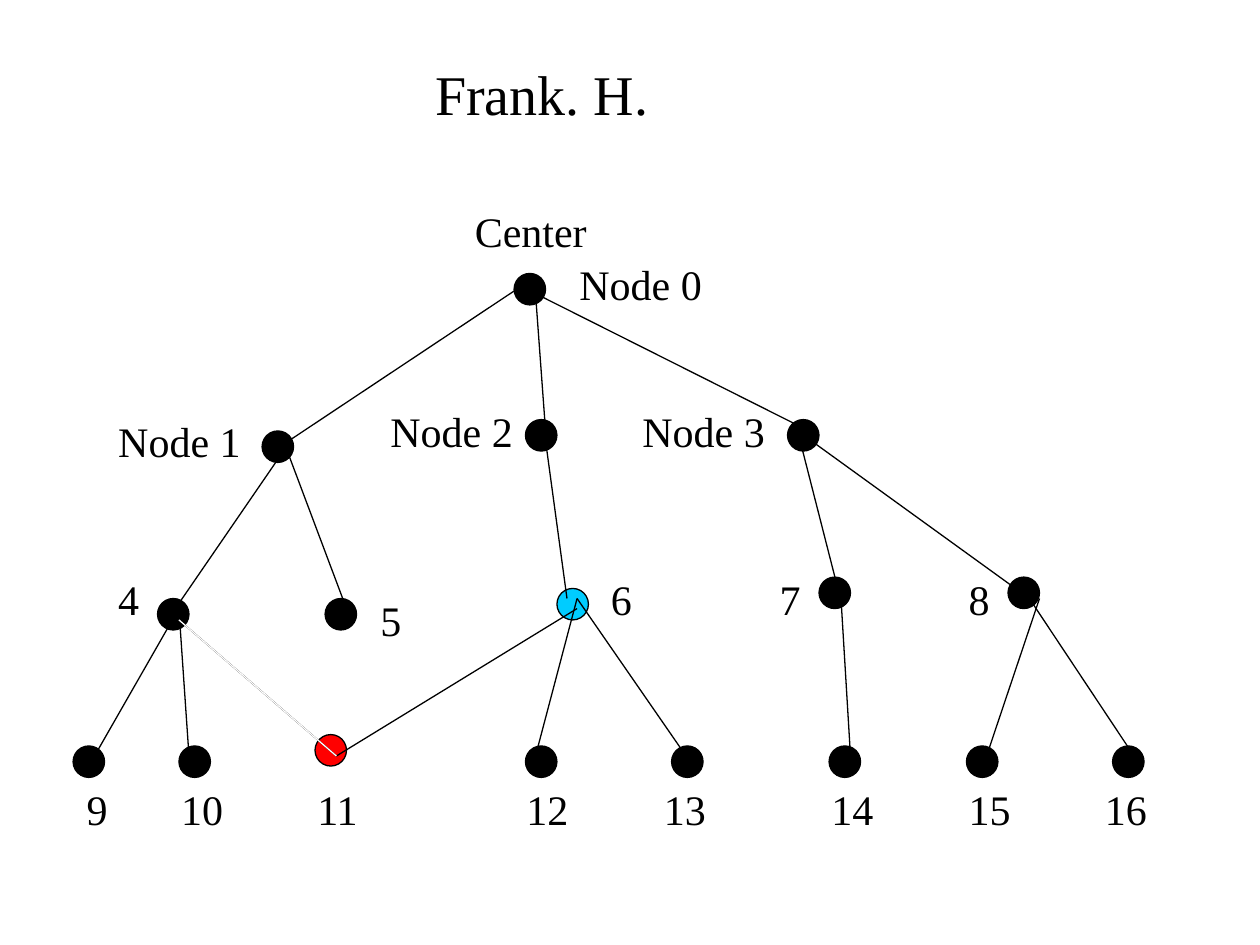
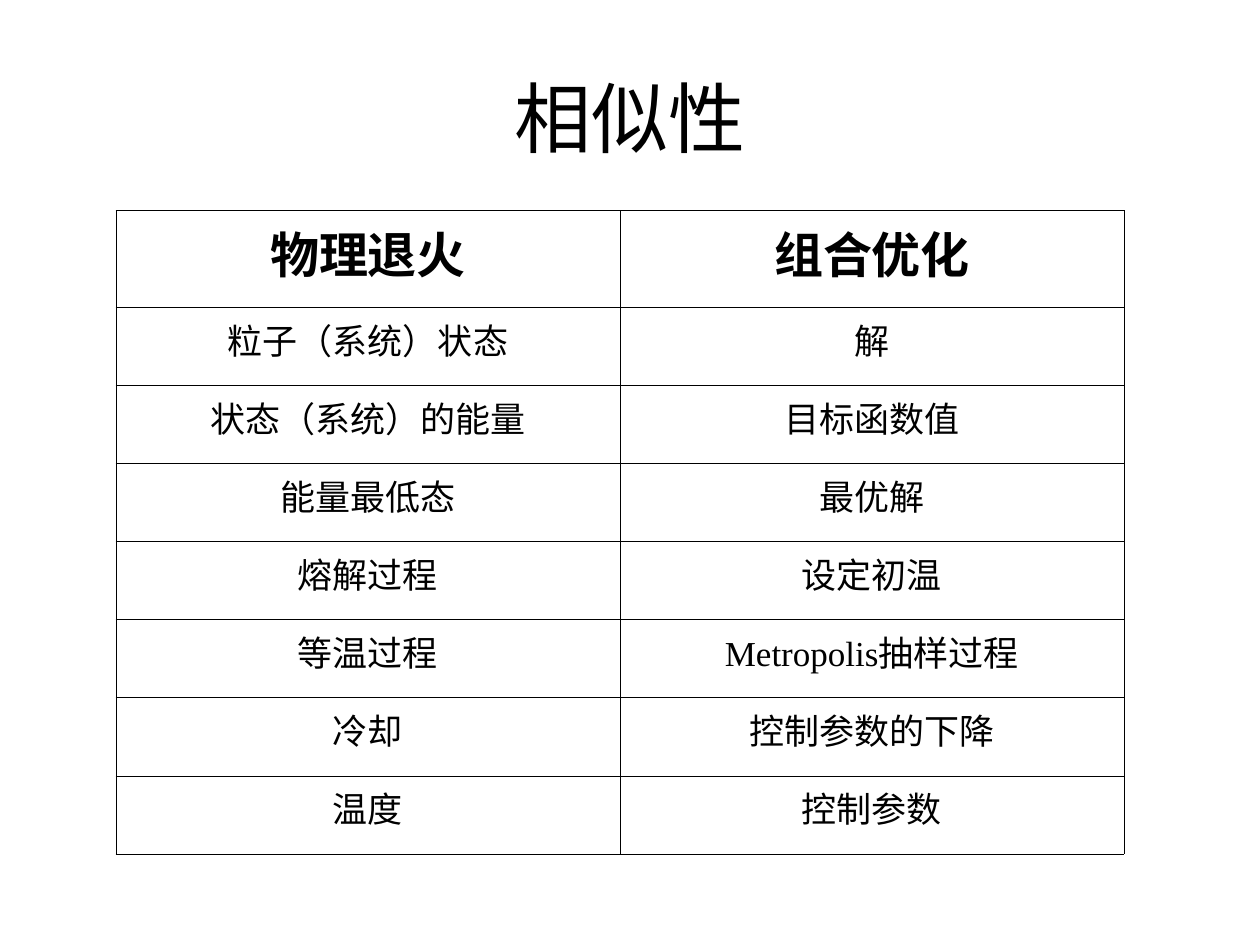
from lxml import etree
from pptx import Presentation
from pptx.dml.color import RGBColor
from pptx.enum.lang import MSO_LANGUAGE_ID
from pptx.enum.shapes import MSO_CONNECTOR, MSO_SHAPE
from pptx.enum.text import MSO_ANCHOR, MSO_AUTO_SIZE, PP_ALIGN
from pptx.oxml.ns import qn
from pptx.util import Inches, Pt

CENTER, LEFT = PP_ALIGN.CENTER, PP_ALIGN.LEFT
TOP, MIDDLE = MSO_ANCHOR.TOP, MSO_ANCHOR.MIDDLE
ELLIPSE = MSO_SHAPE.OVAL
STRAIGHT = MSO_CONNECTOR.STRAIGHT
FIXED, GROW = MSO_AUTO_SIZE.NONE, MSO_AUTO_SIZE.SHAPE_TO_FIT_TEXT
CHINESE = MSO_LANGUAGE_ID.SIMPLIFIED_CHINESE

COLORS = {"black": "000000", "white": "FFFFFF", "blue": "00CCFF", "red": "FF0000"}
SERIF, SANS = "Times New Roman", "Arial"
NODE_SIZE = 0.25
LABEL_HEIGHT = 0.5
LEAF_Y, LEAF_LABEL_Y = 5.92, 6.17

# label: (node left, node top, label left, label top, label width)
NODES = {
    "Node 0": (4.08, 2.17, 4.5, 2, 1.17),
    "Node 1": (2.08, 3.42, 0.84, 3.25, 1.17),
    "Node 2": (4.17, 3.33, 3, 3.17, 1.17),
    "Node 3": (6.25, 3.33, 5, 3.17, 1.17),
    "4": (1.25, 4.75, 0.84, 4.5, 0.36),
    "5": (2.58, 4.75, 2.92, 4.67, 0.36),
    "6": (4.42, 4.67, 4.75, 4.5, 0.36),
    "7": (6.5, 4.58, 6.09, 4.5, 0.36),
    "8": (8, 4.58, 7.59, 4.5, 0.36),
    "9": (0.58, LEAF_Y, 0.59, LEAF_LABEL_Y, 0.36),
    "10": (1.42, LEAF_Y, 1.34, LEAF_LABEL_Y, 0.53),
    "11": (2.5, 5.83, 2.42, LEAF_LABEL_Y, 0.53),
    "12": (4.17, LEAF_Y, 4.08, LEAF_LABEL_Y, 0.53),
    "13": (5.33, LEAF_Y, 5.17, LEAF_LABEL_Y, 0.53),
    "14": (6.58, LEAF_Y, 6.5, LEAF_LABEL_Y, 0.53),
    "15": (7.67, LEAF_Y, 7.59, LEAF_LABEL_Y, 0.53),
    "16": (8.83, LEAF_Y, 8.67, LEAF_LABEL_Y, 0.53),
}
NODE_COLORS = {"6": "blue", "11": "red"}

EDGES = [
    ((4.17, 2.25), (2.17, 3.58)),
    ((4.25, 2.33), (4.33, 3.42)),
    ((4.25, 2.33), (6.42, 3.42)),
    ((2.25, 3.58), (1.33, 4.92)),
    ((2.25, 3.5), (2.75, 4.83)),
    ((4.33, 3.5), (4.5, 4.75)),
    ((6.33, 3.42), (6.67, 4.75)),
    ((6.33, 3.42), (8.17, 4.75)),
    ((1.42, 4.83), (0.75, 6)),
    ((1.42, 4.83), (1.5, 6)),
    ((1.42, 4.92), (2.67, 6)),
    ((4.58, 4.75), (4.25, 6)),
    ((4.58, 4.75), (5.5, 6.08)),
    ((4.58, 4.83), (2.67, 6)),
    ((6.67, 4.67), (6.75, 6)),
    ((8.25, 4.75), (7.83, 6)),
    ((8.17, 4.75), (9, 6)),
]
REMOVED_EDGE = ((2.67, 6), (1.42, 4.92))

ANALOGIES = [
    ("物理退火", "组合优化"),
    ("粒子（系统）状态", "解"),
    ("状态（系统）的能量", "目标函数值"),
    ("能量最低态", "最优解"),
    ("熔解过程", "设定初温"),
    ("等温过程", "Metropolis抽样过程"),
    ("冷却", "控制参数的下降"),
    ("温度", "控制参数"),
]


def rgb(name):
    return RGBColor.from_string(COLORS[name])


def write(frame, text, size=24, font=SERIF, color="black", bold=False,
          align=LEFT, language=None):
    para = frame.paragraphs[0]
    para.alignment = align
    span = para.add_run()
    span.text = text
    span.font.size = Pt(size)
    span.font.name = font
    span.font.bold = bold
    span.font.color.rgb = rgb(color)
    if language:
        span.font.language_id = language


class Builder:
    """Holds the deck, its style and the current page."""

    def __init__(self):
        self.deck = Presentation()
        self.deck.slide_width = Inches(10)
        self.deck.slide_height = Inches(7.5)
        self.page = None

    def new_page(self, title, left, top, width, height, anchor=MIDDLE, **text_format):
        self.page = self.deck.slides.add_slide(self.deck.slide_layouts[5])
        box = self.page.shapes.title
        box.left, box.top = Inches(left), Inches(top)
        box.width, box.height = Inches(width), Inches(height)
        box.text_frame.auto_size = FIXED
        box.text_frame.vertical_anchor = anchor
        write(box.text_frame, title, align=CENTER, **text_format)

    def node(self, left, top, color):
        size = Inches(NODE_SIZE)
        circle = self.page.shapes.add_shape(ELLIPSE, Inches(left), Inches(top), size, size)
        circle.shadow.inherit = False
        circle.fill.solid()
        circle.fill.fore_color.rgb = rgb(color)
        circle.line.color.rgb = rgb("black")
        circle.line.width = Pt(0.75)

    def edge(self, start, end, color="black"):
        points = [Inches(value) for value in start + end]
        line = self.page.shapes.add_connector(STRAIGHT, *points)
        line.line.color.rgb = rgb(color)
        line.line.width = Pt(0.75)
        etree.SubElement(line._element.spPr, qn("a:effectLst"))

    def label(self, text, left, top, width):
        box = self.page.shapes.add_textbox(
            Inches(left), Inches(top), Inches(width), Inches(LABEL_HEIGHT))
        box.text_frame.word_wrap = False
        box.text_frame.auto_size = GROW
        write(box.text_frame, text)

    def table(self, rows, left, top, column_width, header_height, row_height):
        columns = len(rows[0])
        height = header_height + row_height * (len(rows) - 1)
        table = self.page.shapes.add_table(
            len(rows), columns, Inches(left), Inches(top),
            Inches(column_width * columns), Inches(height)).table
        table.first_row = table.horz_banding = False
        for column in table.columns:
            column.width = Inches(column_width)
        for row_index, values in enumerate(rows):
            header = row_index == 0
            table.rows[row_index].height = Inches(header_height if header else row_height)
            for column_index, value in enumerate(values):
                cell = table.cell(row_index, column_index)
                cell.vertical_anchor = TOP
                write(cell.text_frame, value, size=28 if header else 20,
                      bold=header, align=CENTER, language=CHINESE)
                self.cell_borders(cell)
                cell.fill.solid()
                cell.fill.fore_color.rgb = rgb("white")

    def cell_borders(self, cell):
        properties = cell._tc.get_or_add_tcPr()
        for side in ("L", "R", "T", "B"):
            border = etree.SubElement(properties, qn(f"a:ln{side}"), w=str(Pt(0.45)))
            fill = etree.SubElement(border, qn("a:solidFill"))
            etree.SubElement(fill, qn("a:srgbClr"), val=COLORS["black"])


def build_tree(builder):
    builder.new_page("Frank. H.", 2.58, 0.42, 3.44, 0.64, anchor=TOP, size=32)
    for name, (left, top, *_) in NODES.items():
        builder.node(left, top, NODE_COLORS.get(name, "black"))
    for start, end in EDGES:
        builder.edge(start, end)
    builder.edge(*REMOVED_EDGE, color="white")
    builder.label("Center", 3.67, 1.58, 1.09)
    for name, (_, _, *label_place) in NODES.items():
        builder.label(name, *label_place)


def build_analogies(builder):
    builder.new_page("相似性", 0.5, 0.3, 9, 1.25, size=44, font=SANS, language=CHINESE)
    builder.table(ANALOGIES, 0.92, 1.67, column_width=4,
                  header_height=0.77, row_height=0.62)


def main():
    builder = Builder()
    build_tree(builder)
    build_analogies(builder)
    builder.deck.save("out.pptx")


if __name__ == "__main__":
    main()
